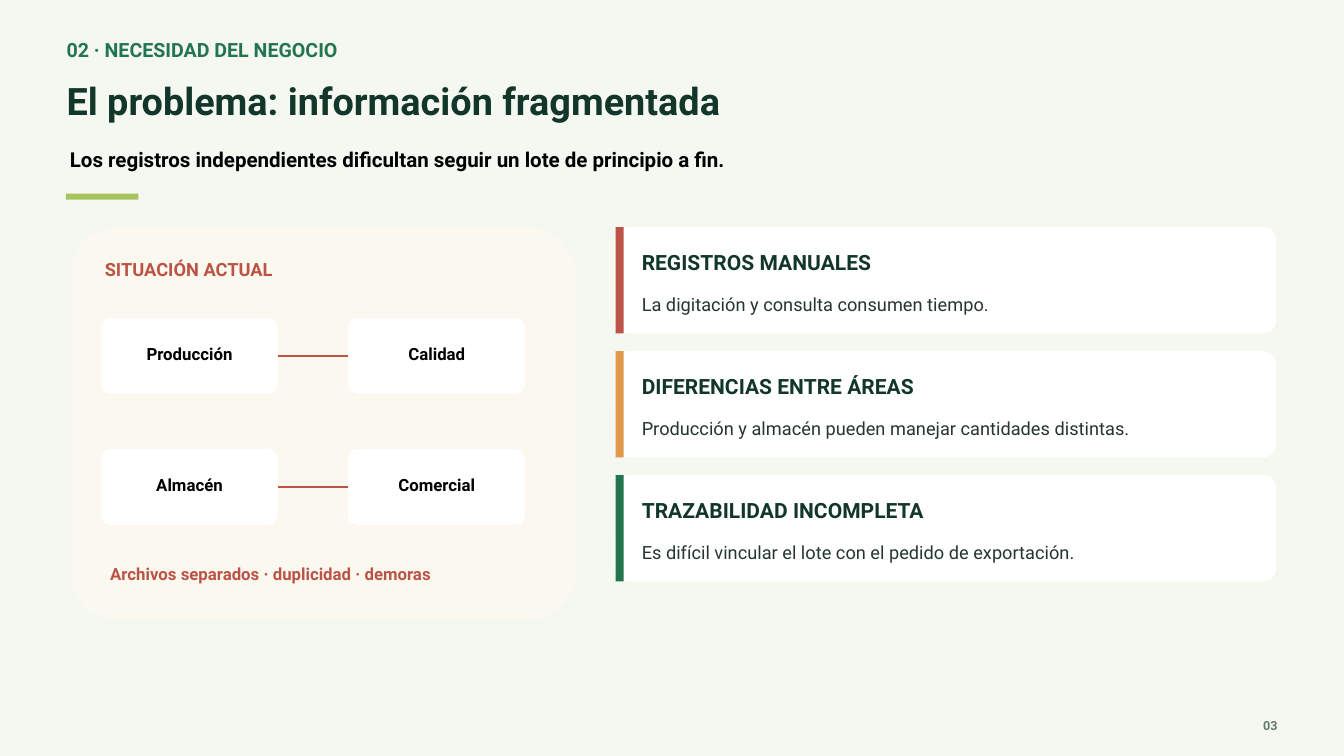
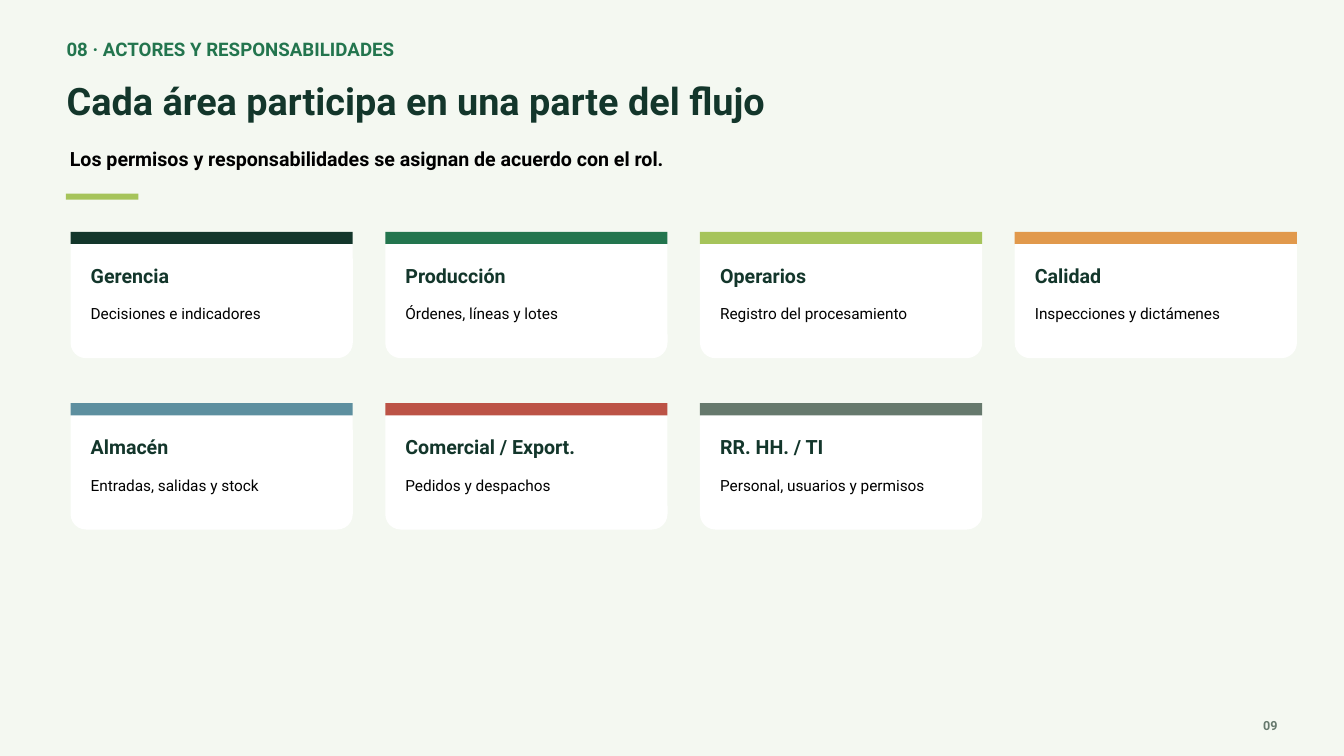
from collections import namedtuple

from lxml.etree import SubElement
from pptx import Presentation
from pptx.dml.color import RGBColor
from pptx.enum.shapes import MSO_CONNECTOR as Connector, MSO_SHAPE as Shape
from pptx.enum.text import MSO_AUTO_SIZE as AutoSize, PP_ALIGN as Align
from pptx.oxml.ns import qn
from pptx.util import Inches, Pt

FONT = "Roboto"
PAPER, CREAM, WHITE, BLACK = "F4F8F1", "FAF8EF", "FFFFFF", "000000"
FOREST, GREEN, LIME = "13362B", "23754E", "A6C45B"
RED, ORANGE, BLUE, GRAY, INK = "BC5346", "E1994C", "5D8F9F", "66796D", "25362E"

Box = namedtuple("Box", "left top width height")

AREAS = [["Producción", "Calidad"], ["Almacén", "Comercial"]]
PROBLEMS = [
    ("REGISTROS MANUALES", "La digitación y consulta consumen tiempo.", RED),
    ("DIFERENCIAS ENTRE ÁREAS",
     "Producción y almacén pueden manejar cantidades distintas.", ORANGE),
    ("TRAZABILIDAD INCOMPLETA",
     "Es difícil vincular el lote con el pedido de exportación.", GREEN),
]
ROLES = [
    ("Gerencia", "Decisiones e indicadores", FOREST),
    ("Producción", "Órdenes, líneas y lotes", GREEN),
    ("Operarios", "Registro del procesamiento", LIME),
    ("Calidad", "Inspecciones y dictámenes", ORANGE),
    ("Almacén", "Entradas, salidas y stock", BLUE),
    ("Comercial / Export.", "Pedidos y despachos", RED),
    ("RR. HH. / TI", "Personal, usuarios y permisos", GRAY),
]


def color(hex_code):
    """Turn a hex string into a colour."""
    return RGBColor.from_string(hex_code)


def inside(box, left, top, width, height):
    """Return a box placed relative to the corner of another one."""
    return Box(box.left + left, box.top + top, width, height)


def add_text(page, box, text, size, ink=BLACK, bold=False, align=Align.LEFT):
    """Write one paragraph in a text box without margins."""
    frame = page.shapes.add_textbox(*map(Inches, box)).text_frame
    frame.word_wrap = True
    frame.auto_size = AutoSize.SHAPE_TO_FIT_TEXT
    frame.margin_left = frame.margin_right = 0
    frame.margin_top = frame.margin_bottom = 0
    para = frame.paragraphs[0]
    para.alignment = align
    para.line_spacing = Pt(size * 1.2)
    span = para.add_run()
    span.text = text
    span.font.name, span.font.size, span.font.bold = FONT, Pt(size), bold
    span.font.color.rgb = color(ink)


def add_block(page, box, fill, radius=0):
    """Draw a plain rectangle, rounded when a radius is given."""
    kind = Shape.ROUNDED_RECTANGLE if radius else Shape.RECTANGLE
    block = page.shapes.add_shape(kind, *map(Inches, box))
    if radius:
        block.adjustments[0] = radius / min(box.width, box.height)
    block.shadow.inherit = False
    block.fill.solid()
    block.fill.fore_color.rgb = color(fill)
    block.line.fill.background()
    return block


def add_link(page, start, end):
    """Join the right side of one block to the left side of another."""
    link = page.shapes.add_connector(Connector.STRAIGHT, 0, 0, 0, 0)
    link.begin_connect(start, 3)
    link.end_connect(end, 1)
    link.line.color.rgb = color(RED)
    link.line.width = Pt(1.5)
    SubElement(link._element.spPr, qn("a:effectLst"))


def add_page(deck, section, title, subtitle, number, section_size, subtitle_size):
    """Start a slide with its heading, accent rule and page number."""
    page = deck.slides.add_slide(deck.slide_layouts[6])
    page.background.fill.solid()
    page.background.fill.fore_color.rgb = color(PAPER)
    add_text(page, Box(0.99, 0.57, 17.59, 0.35), section, section_size, GREEN, True)
    add_text(page, Box(0.99, 1.15, 17.89, 0.8), title, 40.5, FOREST, True)
    add_text(page, Box(1.04, 2.19, 17.74, 0.36), subtitle, subtitle_size, bold=True)
    add_block(page, Box(0.98, 2.88, 1.08, 0.09), LIME)
    add_text(page, Box(18.45, 10.68, 0.56, 0.19), number, 13.5, GRAY, True, Align.RIGHT)
    return page


def add_area(page, box, name):
    """Draw one business area and return its block."""
    block = add_block(page, box, WHITE, 0.14)
    add_text(page, inside(box, 0.18, 0.39, 2.28, 0.26), name, 18,
             bold=True, align=Align.CENTER)
    return block


def add_situation(page, box):
    """Show the areas in linked pairs on a cream panel."""
    add_block(page, box, CREAM, 0.7)
    add_text(page, inside(box, 0.51, 0.46, 6.34, 0.41), "SITUACIÓN ACTUAL", 19.5, RED, True)
    for row, names in enumerate(AREAS):
        pair = [add_area(page, inside(box, 0.45 + 3.68 * column, 1.35 + 1.95 * row,
                                      2.63, 1.13), name)
                for column, name in enumerate(names)]
        add_link(page, *pair)
    add_text(page, inside(box, 0.59, 5.01, 6.34, 0.48),
             "Archivos separados · duplicidad · demoras", 18, RED, True)


def add_problem(page, box, heading, detail, accent):
    """Draw a problem card with an accent on its left edge."""
    add_block(page, box, WHITE, 0.19)
    add_block(page, inside(box, 0, 0, 0.12, box.height), accent)
    add_text(page, inside(box, 0.39, 0.33, 9.11, 0.41), heading, 22.5, FOREST, True)
    add_text(page, inside(box, 0.39, 0.99, 9.08, 0.33), detail, 19.5, INK)


def add_role(page, box, name, duty, accent):
    """Draw a role card with an accent along its top."""
    add_block(page, box, WHITE, 0.23)
    add_block(page, inside(box, 0, 0, box.width, 0.18), accent)
    add_text(page, inside(box, 0.3, 0.47, 3.63, 0.34), name, 21, FOREST, True)
    add_text(page, inside(box, 0.3, 1.08, 3.63, 0.51), duty, 16.5)


def build_problem_page(deck):
    """Build the slide about fragmented information."""
    page = add_page(deck, "02 · NECESIDAD DEL NEGOCIO",
                    "El problema: información fragmentada",
                    "Los registros independientes dificultan seguir un lote de principio a fin.",
                    "03", section_size=21, subtitle_size=22)
    add_situation(page, Box(1.05, 3.38, 7.51, 5.85))
    for index, problem in enumerate(PROBLEMS):
        add_problem(page, Box(9.16, 3.38 + 1.845 * index, 9.83, 1.58), *problem)


def build_roles_page(deck):
    """Build the slide with the grid of roles."""
    page = add_page(deck, "08 · ACTORES Y RESPONSABILIDADES",
                    "Cada área participa en una parte del flujo",
                    "Los permisos y responsabilidades se asignan de acuerdo con el rol.",
                    "09", section_size=20, subtitle_size=21)
    columns, first, last = 4, 1.05, 15.1
    pitch = (last - first) / (columns - 1)
    for index, role in enumerate(ROLES):
        row, column = divmod(index, columns)
        add_role(page, Box(first + pitch * column, 3.45 + 2.55 * row, 4.2, 1.88), *role)


def main():
    """Build and save the deck."""
    deck = Presentation()
    deck.slide_width, deck.slide_height = Inches(20), Inches(11.25)
    build_problem_page(deck)
    build_roles_page(deck)
    deck.save("out.pptx")


if __name__ == "__main__":
    main()
